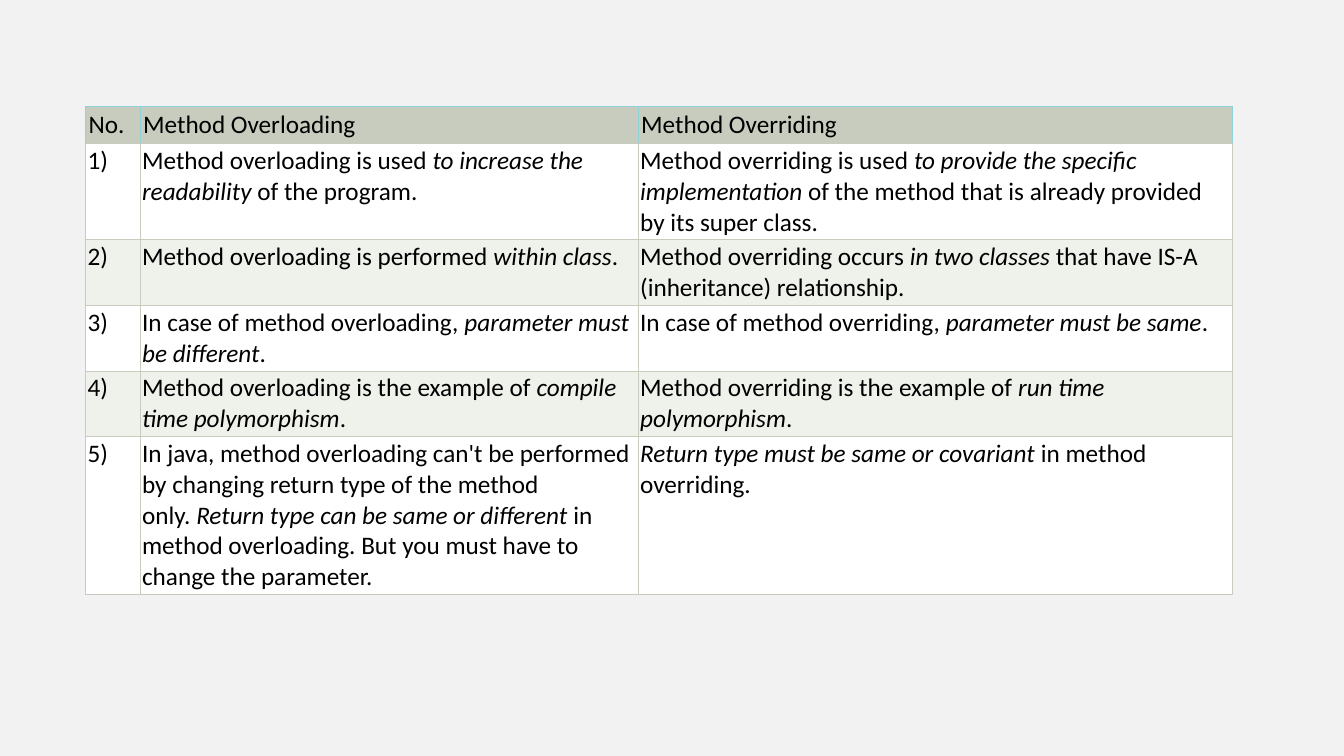
import pptx
import pptx.util
import pptx.dml.color
import pptx.oxml.ns
from lxml import etree

# Asterisks enclose italic words.
ROWS = [
    ("No.", "Method Overloading", "Method Overriding"),
    ("1)",
     "Method overloading is used *to increase the readability* of the program.",
     "Method overriding is used *to provide the specific implementation* of the "
     "method that is already provided by its super class."),
    ("2)",
     "Method overloading is performed *within class*.",
     "Method overriding occurs *in two classes* that have IS-A (inheritance) "
     "relationship."),
    ("3)",
     "In case of method overloading, *parameter must be different*.",
     "In case of method overriding, *parameter must be same*."),
    ("4)",
     "Method overloading is the example of *compile time polymorphism*.",
     "Method overriding is the example of *run time polymorphism*."),
    ("5)",
     "In java, method overloading can't be performed by changing return type of "
     "the method only. *Return type can be same or different* in method "
     "overloading. But you must have to change the parameter.",
     "*Return type must be same or covariant* in method overriding."),
]
WIDTHS = (0.54, 4.94, 5.89)
HEIGHTS = (0.19, 0.85, 0.62, 0.51, 0.62, 1.42)
LEFT, TOP = 0.85, 1.06
COLORS = {"page": "F2F2F2", "head": "C7CCBE", "edge": "90D2D9",
          "odd": "FFFFFF", "even": "EFF1EB", "text": "000000"}
HARD = chr(160)  # no-break space, joins italic words to their neighbours

inch = pptx.util.Inches


def paint(fill, name):
    fill.solid()
    fill.fore_color.rgb = pptx.dml.color.RGBColor.from_string(COLORS[name])


def border(cell, side, name):
    props = cell._tc.get_or_add_tcPr()
    line = etree.SubElement(props, pptx.oxml.ns.qn("a:ln" + side),
                            w=str(pptx.util.Pt(0.75)))
    solid = etree.SubElement(line, pptx.oxml.ns.qn("a:solidFill"))
    etree.SubElement(solid, pptx.oxml.ns.qn("a:srgbClr"), val=COLORS[name])


def write(cell, text):
    para = cell.text_frame.paragraphs[0]
    para.font.name = "Calibri"
    para.font.size = pptx.util.Pt(18)
    para.font.color.rgb = pptx.dml.color.RGBColor.from_string(COLORS["text"])
    joined = text.replace(" *", HARD + "*").replace("* ", "*" + HARD)
    for pos, part in enumerate(joined.split("*")):
        if part:
            run = para.add_run()
            run.text = part
            if pos % 2:
                run.font.italic = True


def main():
    deck = pptx.Presentation()
    deck.slide_width, deck.slide_height = inch(13.33), inch(7.5)
    slide = deck.slides.add_slide(deck.slide_layouts[6])
    paint(slide.background.fill, "page")

    table = slide.shapes.add_table(
        len(ROWS), len(WIDTHS), inch(LEFT), inch(TOP),
        inch(sum(WIDTHS)), inch(sum(HEIGHTS))).table
    table.first_row = table.horz_banding = False
    for col, width in zip(table.columns, WIDTHS):
        col.width = inch(width)
    for row, height in zip(table.rows, HEIGHTS):
        row.height = inch(height)

    for r, texts in enumerate(ROWS):
        for c, text in enumerate(texts):
            cell = table.cell(r, c)
            pad = inch(0.02 if r else 0.03)
            cell.margin_left = cell.margin_right = pad
            cell.margin_top = cell.margin_bottom = pad
            for side in "LRTB":
                border(cell, side, "head" if r or side == "B" else "edge")
            paint(cell.fill, ("even" if r % 2 == 0 else "odd") if r else "head")
            write(cell, text)

    deck.save("out.pptx")


if __name__ == "__main__":
    main()
